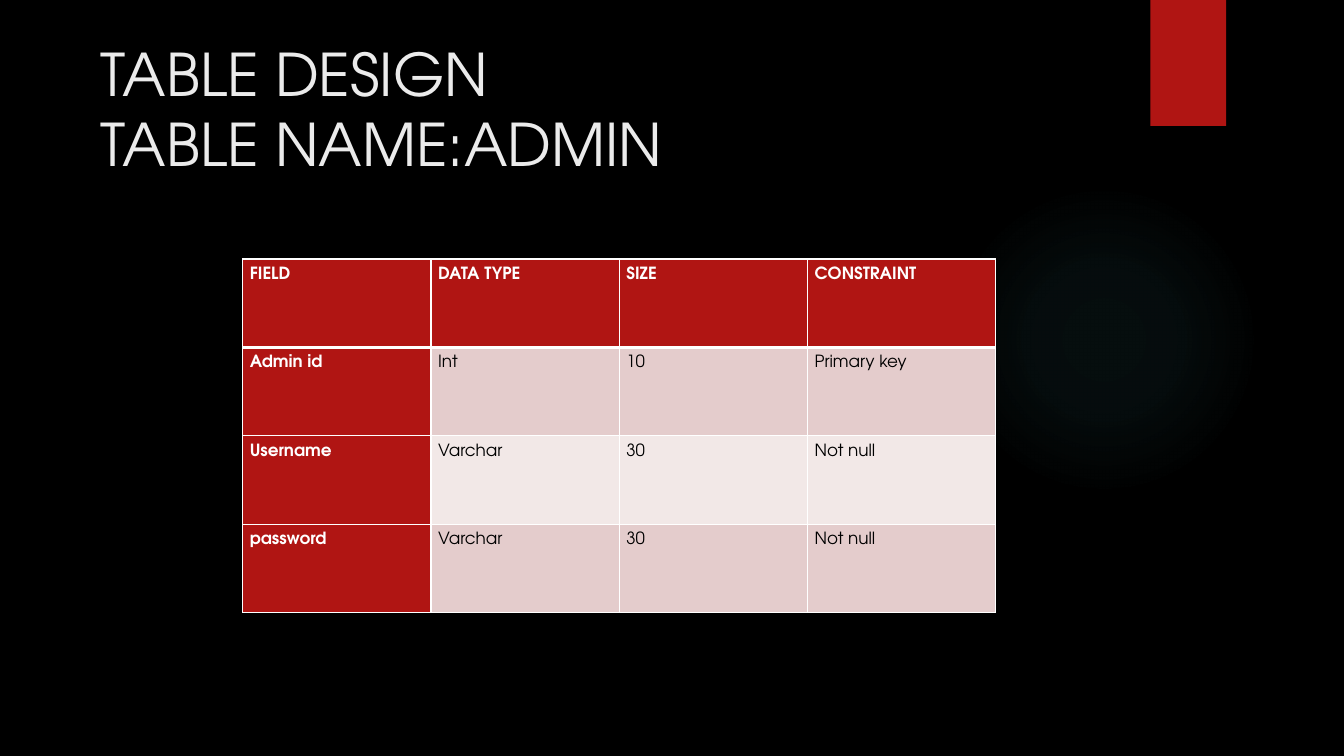
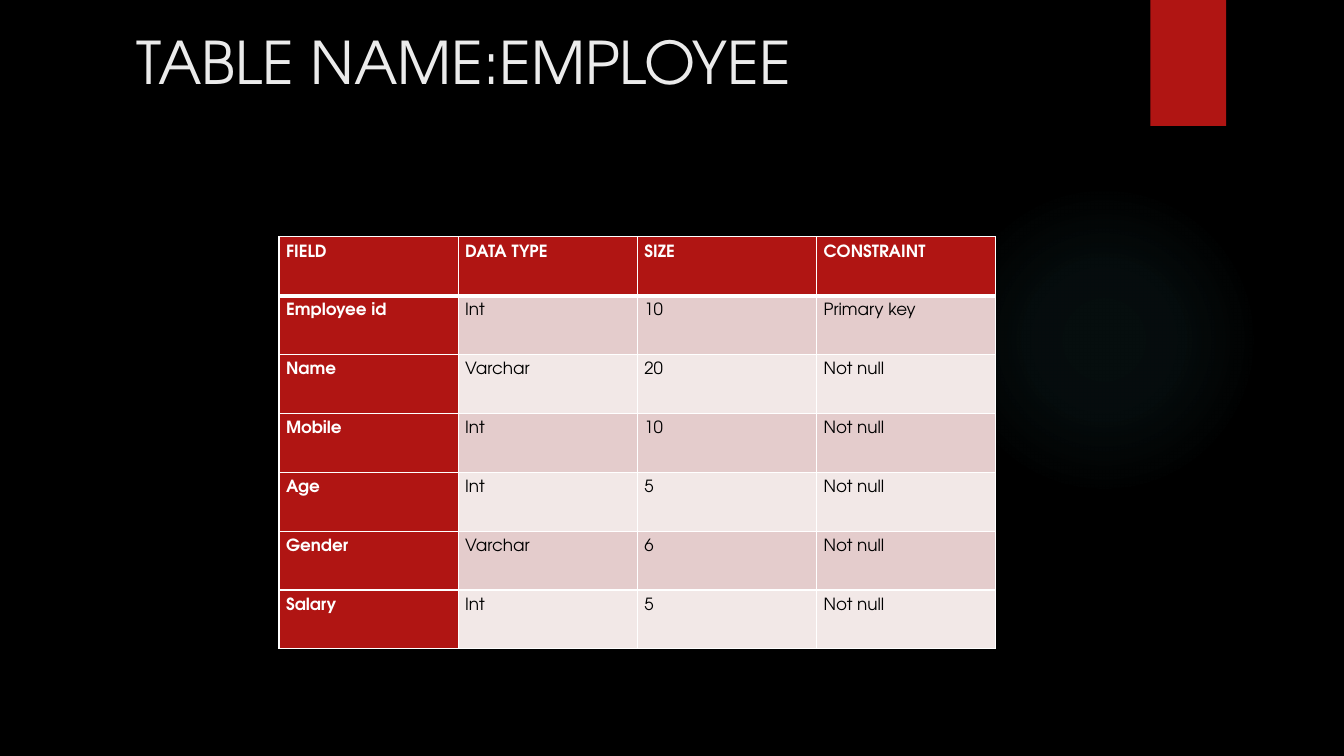
from pptx import Presentation, util as u
from pptx.dml.color import RGBColor
from pptx.enum import shapes, text
from pptx.oxml import parse_xml, ns


def tint(code):
    return RGBColor.from_string(code)


class Deck:
    font = "TeX Gyre Adventor"
    red, white, black, pale = "B01513", "FFFFFF", "000000", "EBEBEB"
    glow = "50B9C1"
    bands = "E4CCCC", "F2E8E7"
    heads = "FIELD", "DATA TYPE", "SIZE", "CONSTRAINT"

    def __init__(self):
        self.prs = Presentation()
        self.prs.slide_width = u.Inches(13.33)
        self.prs.slide_height = u.Inches(7.5)
        back = self.prs.slide_master.background.fill
        back.solid()
        back.fore_color.rgb = tint(self.black)
        self.slide = None

    def place(self, x, y, w, h):
        wide, high = self.prs.slide_width, self.prs.slide_height
        return [round(part * size / 100) for part, size
                in zip((x, y, w, h), (wide, high, wide, high))]

    def start(self):
        self.slide = self.prs.slides.add_slide(self.prs.slide_layouts[5])
        self.halo()
        self.tab()

    def shape(self, kind, *box):
        item = self.slide.shapes.add_shape(kind, *self.place(*box))
        item.shadow.inherit = False
        item.line.fill.background()
        return item

    def halo(self):
        disc = self.shape(shapes.MSO_SHAPE.OVAL, 70.6, 24.4, 23.1, 41.07)
        disc.fill.background()
        stops = "".join(
            f'<a:gs pos="{spot}000"><a:srgbClr val="{self.glow}">'
            f'<a:alpha val="{alpha}000"/></a:srgbClr></a:gs>'
            for spot, alpha in ((0, 7), (36, 6), (69, 0)))
        fade = parse_xml(
            f'<a:gradFill {ns.nsdecls("a")} rotWithShape="1">'
            f'<a:gsLst>{stops}</a:gsLst><a:path path="circle">'
            '<a:fillToRect l="50000" t="50000" r="50000" b="50000"/>'
            '</a:path></a:gradFill>')
        props = disc._element.spPr
        props.replace(props.find(ns.qn("a:noFill")), fade)

    def tab(self):
        flag = self.shape(shapes.MSO_SHAPE.RECTANGLE, 85.6, 0, 5.63, 16.67)
        flag.fill.solid()
        flag.fill.fore_color.rgb = tint(self.red)

    def run(self, para, words, size, color, bold=False):
        run = para.add_run()
        run.text = words
        run.font.name = self.font
        run.font.size = u.Pt(size)
        run.font.bold = bold
        run.font.color.rgb = tint(color)

    def title(self, lines, *box):
        item = self.slide.shapes.title
        item.left, item.top, item.width, item.height = self.place(*box)
        frame = item.text_frame
        frame.word_wrap = True
        frame.auto_size = text.MSO_AUTO_SIZE.NONE
        frame.vertical_anchor = text.MSO_ANCHOR.TOP
        para = frame.paragraphs[0]
        para.alignment = text.PP_ALIGN.LEFT
        for n, line in enumerate(lines):
            if n:
                para.add_line_break()
            self.run(para, line, 42, self.pale)

    def edges(self, cell, top, base):
        props = cell._tc.get_or_add_tcPr()
        for side, width in (("L", 1), ("R", 1), ("T", top), ("B", base)):
            props.append(parse_xml(
                f'<a:ln{side} {ns.nsdecls("a")} w="{u.Pt(width)}"><a:solidFill>'
                f'<a:srgbClr val="{self.white}"/></a:solidFill></a:ln{side}>'))

    def cell(self, cell, words, row, col):
        key = row == 0 or col == 0
        cell.margin_left = cell.margin_right = u.Inches(0.07)
        cell.margin_top = cell.margin_bottom = 0
        self.edges(cell, 3 if row == 1 else 1, 3 if row == 0 else 1)
        cell.fill.solid()
        cell.fill.fore_color.rgb = tint(
            self.red if key else self.bands[(row - 1) % 2])
        para = cell.text_frame.paragraphs[0]
        para.line_spacing = 1.5
        self.run(para, words, 12, self.white if key else self.black, key)

    def table(self, rows, *box):
        data = [self.heads, *rows]
        grid = self.slide.shapes.add_table(
            len(data), len(self.heads), *self.place(*box)).table
        for r, line in enumerate(data):
            for c, words in enumerate(line):
                self.cell(grid.cell(r, c), words, r, c)


def main():
    deck = Deck()

    deck.start()
    deck.title(["TABLE DESIGN", "TABLE NAME:ADMIN"], 6.75, 4.27, 81.25, 20.13)
    deck.table([
        ("Admin id", "Int", "10", "Primary key"),
        ("Username", "Varchar", "30", "Not null"),
        ("password", "Varchar", "30", "Not null"),
    ], 18.06, 34.27, 56.04, 46.8)

    deck.start()
    deck.title(["TABLE NAME:EMPLOYEE"], 9.38, 2.67, 81.25, 18)
    deck.table([
        ("Employee id", "Int", "10", "Primary key"),
        ("Name", "Varchar", "20", "Not null"),
        ("Mobile", "Int", "10", "Not null"),
        ("Age", "Int", "5", "Not null"),
        ("Gender", "Varchar", "6", "Not null"),
        ("Salary", "Int", "5", "Not null"),
    ], 20.76, 31.33, 53.34, 54.53)

    deck.prs.save("out.pptx")


if __name__ == "__main__":
    main()
